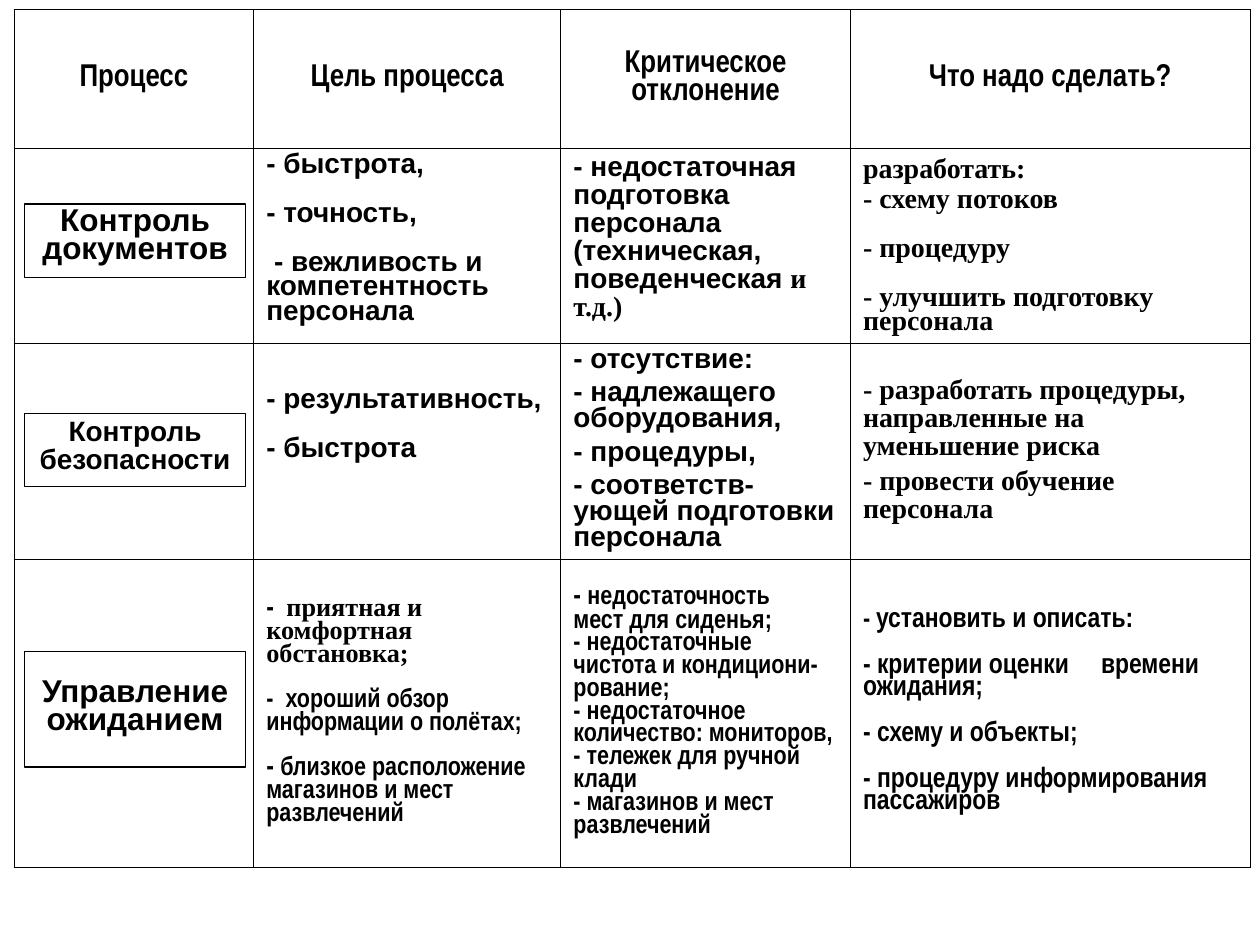
"""Builds a process table with boxed process names in its first column."""
from lxml import etree
from pptx import Presentation, util as u
from pptx.dml.color import RGBColor
from pptx.enum import shapes, text
from pptx.oxml import ns

BLACK = RGBColor(0, 0, 0)
WHITE = RGBColor(255, 255, 255)
SANS, NARROW, SERIF = "Arial", "Arial Narrow", "Times New Roman"
TOP, MIDDLE = text.MSO_ANCHOR.TOP, text.MSO_ANCHOR.MIDDLE
LEFT, CENTER = text.PP_ALIGN.LEFT, text.PP_ALIGN.CENTER

COLUMNS = [137, 175.5, 165.5, 228.5]
ROWS = [79.4, 111.4, 123.4, 176]
HEADINGS = ["Процесс", "Цель процесса", "Критическое отклонение", "Что надо сделать?"]


def line(content, font, size, leading, before=0, indent=0, tab=0):
    spans = [(content, size, font)] if isinstance(content, str) else content
    return dict(spans=spans, leading=leading, before=before, indent=indent, tab=tab)


def narrow(content, before=0, size=15, tab=0):
    return line(content, NARROW, size, 13, before, tab=tab)


CELLS = [
    [
        [line("- быстрота,", SANS, 16, 14),
         line("- точность,", SANS, 16, 14, 14),
         line("- вежливость и компетентность персонала", SANS, 16, 14, 14, indent=4.5)],
        [line("- недостаточная подготовка персонала", SANS, 16, 16),
         line([("(техническая, поведенческая ", 16, SANS), ("и т.д.)", 16, SERIF)],
              SANS, 16, 16)],
        [line("разработать:", SERIF, 16, 17),
         line("- схему потоков", SERIF, 16, 17),
         line("- процедуру", SERIF, 16, 14, 14),
         line("- улучшить подготовку персонала", SERIF, 16, 14, 14)],
    ],
    [
        [line("- результативность,", SANS, 16, 14),
         line("- быстрота", SANS, 16, 14, 14)],
        [line("- отсутствие:", SANS, 16, 14),
         line("- надлежащего оборудования,", SANS, 16, 15, 4),
         line("- процедуры,", SANS, 16, 15, 4),
         line("- соответств-ующей подготовки персонала", SANS, 16, 15, 4)],
        [line("- разработать процедуры, направленные на уменьшение риска", SERIF, 16, 16),
         line("- провести обучение персонала", SERIF, 16, 16, 4)],
    ],
    [
        [narrow([("-\t", 16, NARROW), ("приятная и комфортная обстановка;", 15, SERIF)],
                tab=11.5),
         narrow("-\tхороший обзор информации о полётах;", 13, tab=11),
         narrow([("- ", 16, NARROW), ("близкое расположение", 15, NARROW)], 13),
         narrow("магазинов и мест развлечений")],
        [narrow([("- ", 16, NARROW), ("недостаточность", 15, NARROW)]),
         narrow("мест для сиденья;"),
         narrow("- недостаточные чистота и кондициони-"),
         narrow("рование;"),
         narrow("- недостаточное количество: мониторов,"),
         narrow("- тележек для ручной клади"),
         narrow("- магазинов и мест развлечений")],
        [narrow([("- ", 15, NARROW), ("установить и описать:", 16, NARROW)]),
         narrow("- критерии оценки\tвремени ожидания;", 13, 16, tab=136),
         narrow("- схему и объекты;", 13, 16),
         narrow("- процедуру информирования пассажиров", 13, 16)],
    ],
]

LABELS = [
    ("Контроль документов", 116.6, 41.8, 18, TOP),
    ("Контроль безопасности", 236.2, 41.8, 16, TOP),
    ("Управление ожиданием", 372.2, 66.2, 18, MIDDLE),
]


class Slide:
    def __init__(self, page):
        self.page = page

    def add_lines(self, frame, lines, align=LEFT):
        for index, item in enumerate(lines):
            para = frame.add_paragraph() if index else frame.paragraphs[0]
            properties = para._p.get_or_add_pPr()
            if item["indent"]:
                properties.set("indent", str(u.Pt(item["indent"])))
            if item["tab"]:
                stops = etree.SubElement(properties, ns.qn("a:tabLst"))
                etree.SubElement(stops, ns.qn("a:tab"), pos=str(u.Pt(item["tab"])), algn="l")
            para.alignment = align
            para.line_spacing = u.Pt(item["leading"])
            para.space_before = u.Pt(item["before"])
            for content, size, font in item["spans"]:
                span = para.add_run()
                span.text = content
                span.font.name = font
                span.font.size = u.Pt(size)
                span.font.bold = True
                span.font.color.rgb = BLACK

    def border(self, cell):
        properties = cell._tc.get_or_add_tcPr()
        for side in ("lnL", "lnR", "lnT", "lnB"):
            edge = etree.SubElement(properties, ns.qn("a:" + side), w=str(u.Pt(0.45)))
            fill = etree.SubElement(edge, ns.qn("a:solidFill"))
            etree.SubElement(fill, ns.qn("a:srgbClr"), val=str(BLACK))

    def table(self, left, top, columns, rows):
        frame = self.page.shapes.add_table(
            len(rows), len(columns), u.Pt(left), u.Pt(top),
            u.Pt(sum(columns)), u.Pt(sum(rows)))
        table = frame.table
        table.first_row = table.horz_banding = False
        for column, width in zip(table.columns, columns):
            column.width = u.Pt(width)
        for row, height in zip(table.rows, rows):
            row.height = u.Pt(height)
        for cell in table.iter_cells():
            self.border(cell)
            cell.fill.solid()
            cell.fill.fore_color.rgb = WHITE
            cell.vertical_anchor = MIDDLE
        return table

    def label(self, caption, top, height, size, anchor):
        box = self.page.shapes.add_shape(
            shapes.MSO_SHAPE.RECTANGLE, u.Pt(14.2), u.Pt(top), u.Pt(126), u.Pt(height))
        box.shadow.inherit = False
        box.fill.solid()
        box.fill.fore_color.rgb = WHITE
        box.line.color.rgb = BLACK
        box.line.width = u.Pt(0.75)
        box.text_frame.word_wrap = True
        box.text_frame.vertical_anchor = anchor
        self.add_lines(box.text_frame, [line(caption, SANS, size, 16)], CENTER)


def main():
    deck = Presentation()
    deck.slide_width, deck.slide_height = u.Pt(720), u.Pt(540)
    slide = Slide(deck.slides.add_slide(deck.slide_layouts[6]))
    table = slide.table(8, 5.4, COLUMNS, ROWS)
    for column, heading in enumerate(HEADINGS):
        slide.add_lines(table.cell(0, column).text_frame,
                        [line(heading, NARROW, 18, 16)], CENTER)
    for row, contents in enumerate(CELLS, 1):
        for column, lines in enumerate(contents, 1):
            cell = table.cell(row, column)
            slide.add_lines(cell.text_frame, lines)
            if row == 1:
                cell.vertical_anchor = TOP
    table.cell(2, 1).margin_bottom = u.Pt(31.6)
    for label in LABELS:
        slide.label(*label)
    deck.save("out.pptx")


if __name__ == "__main__":
    main()
